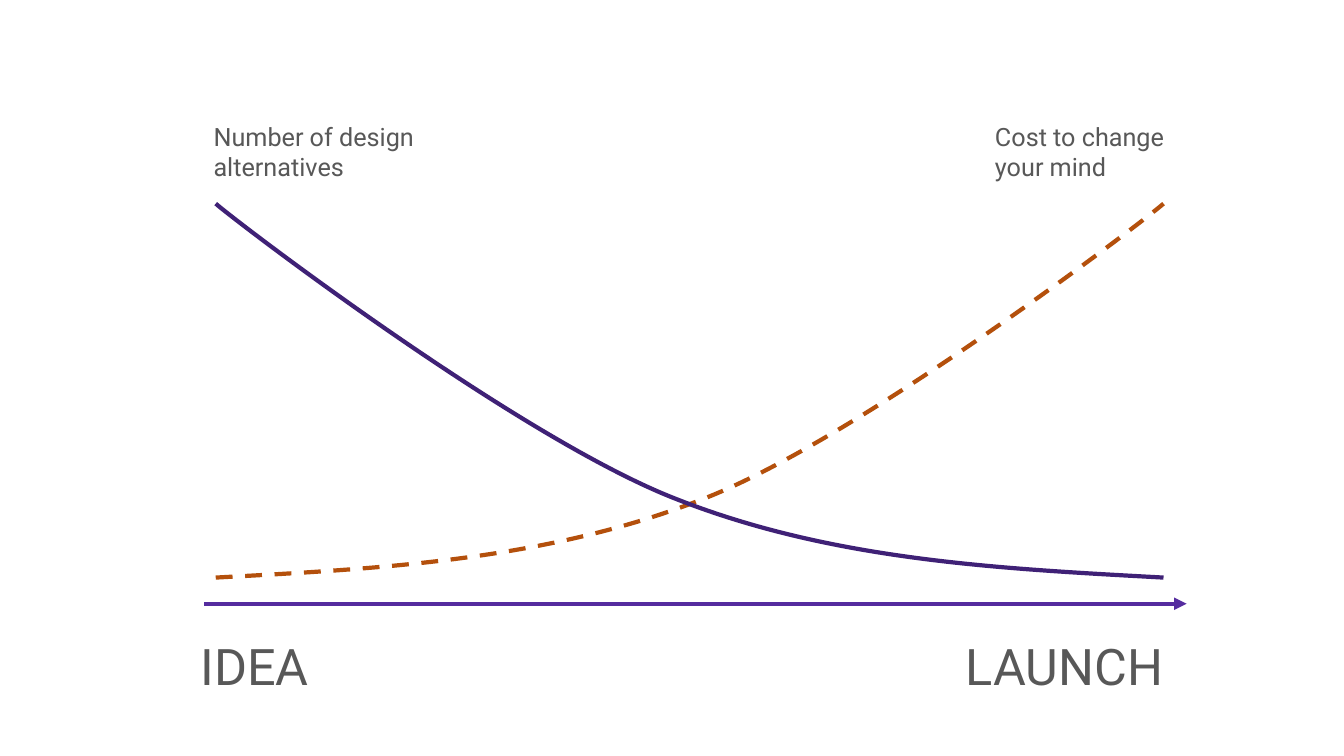
from dataclasses import dataclass

from lxml.etree import SubElement
from pptx import Presentation
from pptx.dml.color import RGBColor
from pptx.enum.dml import MSO_LINE
from pptx.enum.shapes import MSO_CONNECTOR
from pptx.enum.text import MSO_AUTO_SIZE
from pptx.oxml.ns import qn
from pptx.util import Inches, Pt

GRAY = RGBColor(0x58, 0x58, 0x58)
ORANGE = RGBColor(0xB4, 0x50, 0x0C)
DARK_PURPLE = RGBColor(0x3F, 0x21, 0x76)
PURPLE = RGBColor(0x55, 0x2C, 0x9F)

FONT = "Roboto"
LINE_WIDTH = Pt(3)
CURVE_LEFT, CURVE_RIGHT = 2.14, 11.54
AXIS_LEFT, AXIS_RIGHT, AXIS_Y = 2.02, 11.77, 5.99
CAPTION_TOP, STAGE_TOP, LABEL_HEIGHT = 1.15, 6.25, 0.71

RISING_POINTS = [
    (CURVE_LEFT, 5.73),
    (3.79, 5.64), (5.44, 5.56), (7, 4.94),
    (8.57, 4.32), (11.4, 2.15), (CURVE_RIGHT, 2.02),
]
FALLING_POINTS = [(CURVE_LEFT + CURVE_RIGHT - x, y) for x, y in RISING_POINTS]


@dataclass(frozen=True)
class Label:
    lines: tuple[str, ...]
    left: float
    top: float
    width: float
    size: int


@dataclass(frozen=True)
class Curve:
    points: list[tuple[float, float]]
    color: RGBColor
    dash: MSO_LINE | None = None


CAPTIONS = [
    Label(("Cost to change", "your mind"), 9.77, CAPTION_TOP, 1.99, 18),
    Label(("Number of design", "alternatives"), 2.02, CAPTION_TOP, 2.3, 18),
]
STAGES = [
    Label(("LAUNCH",), 9.48, STAGE_TOP, 2.28, 36),
    Label(("IDEA",), 1.89, STAGE_TOP, 1.33, 36),
]
CURVES = [
    Curve(RISING_POINTS, ORANGE, MSO_LINE.DASH),
    Curve(FALLING_POINTS, DARK_PURPLE),
]


def write_line(paragraph, text: str, *, size: int, color: RGBColor = GRAY,
               font: str = FONT) -> None:
    run = paragraph.add_run()
    run.text = text
    run.font.size = Pt(size)
    run.font.name = font
    run.font.color.rgb = color


def add_label(slide, label: Label) -> None:
    box = slide.shapes.add_textbox(Inches(label.left), Inches(label.top),
                                   Inches(label.width), Inches(LABEL_HEIGHT))
    frame = box.text_frame
    frame.word_wrap = False
    frame.auto_size = MSO_AUTO_SIZE.SHAPE_TO_FIT_TEXT
    for index, text in enumerate(label.lines):
        paragraph = frame.add_paragraph() if index else frame.paragraphs[0]
        write_line(paragraph, text, size=label.size)


def add_curve(slide, curve: Curve) -> None:
    start, *controls = [(Inches(x), Inches(y)) for x, y in curve.points]
    builder = slide.shapes.build_freeform(*start)
    builder.add_line_segments(controls, close=False)
    shape = builder.convert_to_shape()
    shape.shadow.inherit = False
    shape.fill.background()
    shape.line.color.rgb = curve.color
    shape.line.width = LINE_WIDTH
    if curve.dash is not None:
        shape.line.dash_style = curve.dash
    bend_segments(shape)


def bend_segments(shape) -> None:
    outline = next(shape.element.iter(qn("a:path")))
    segments = outline.findall(qn("a:lnTo"))
    for index, segment in enumerate(segments):
        if index % 3 == 0:
            bezier = SubElement(outline, qn("a:cubicBezTo"))
        bezier.append(segment[0])
        outline.remove(segment)


def add_time_axis(slide) -> None:
    axis = slide.shapes.add_connector(
        MSO_CONNECTOR.STRAIGHT, Inches(AXIS_RIGHT), Inches(AXIS_Y),
        Inches(AXIS_LEFT), Inches(AXIS_Y))
    axis.line.color.rgb = PURPLE
    axis.line.width = LINE_WIDTH
    properties = axis.element.spPr
    SubElement(properties.find(qn("a:ln")), qn("a:headEnd"), type="triangle")
    SubElement(properties, qn("a:effectLst"))


def main() -> None:
    presentation = Presentation()
    presentation.slide_width = Inches(13.33)
    presentation.slide_height = Inches(7.5)
    slide = presentation.slides.add_slide(presentation.slide_layouts[6])
    for caption in CAPTIONS:
        add_label(slide, caption)
    for curve in CURVES:
        add_curve(slide, curve)
    for stage in STAGES:
        add_label(slide, stage)
    add_time_axis(slide)
    presentation.save("out.pptx")


if __name__ == "__main__":
    main()
